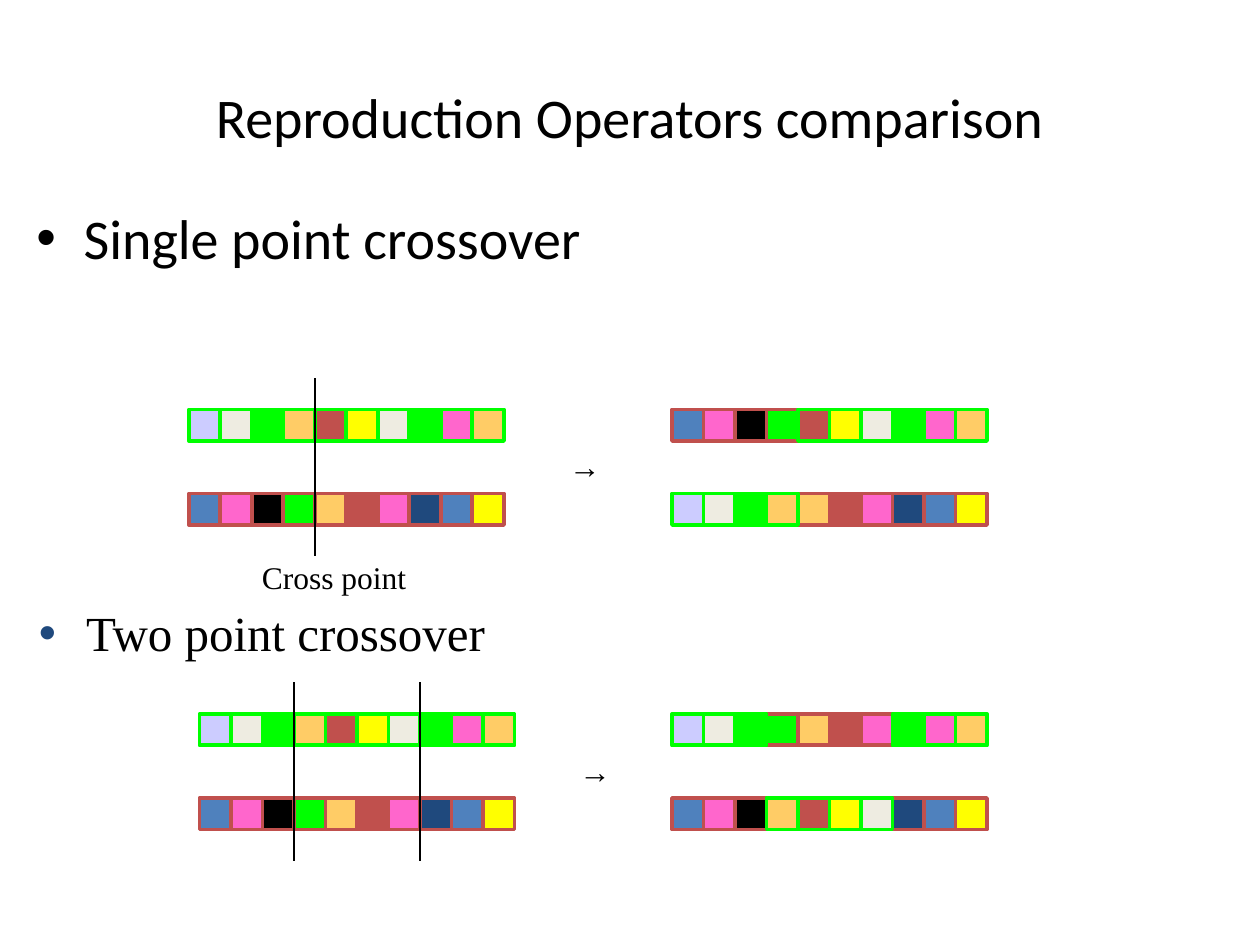
from typing import NamedTuple

from lxml.etree import SubElement
from pptx import Presentation
from pptx.dml.color import RGBColor as RGB
from pptx.enum.shapes import MSO_CONNECTOR as Conn, MSO_SHAPE as Kind
from pptx.enum.text import MSO_ANCHOR as Anchor, PP_ALIGN as Align
from pptx.oxml.ns import qn
from pptx.util import Pt

BLACK = RGB(0x00, 0x00, 0x00)
GREEN = RGB(0x00, 0xFF, 0x00)
RED = RGB(0xC0, 0x50, 0x4D)
BLUE = RGB(0x4F, 0x81, 0xBD)
NAVY = RGB(0x1F, 0x49, 0x7D)
PINK = RGB(0xFF, 0x66, 0xCC)
GOLD = RGB(0xFF, 0xCC, 0x66)
YELLOW = RGB(0xFF, 0xFF, 0x00)
LILAC = RGB(0xCC, 0xCC, 0xFF)
CREAM = RGB(0xEE, 0xEC, 0xE1)

SANS, SERIF = "Calibri", "Times New Roman"
CELL = 18
ROW_GAP = 48
CHILD_X = 384


class Gene(NamedTuple):
    fill: RGB
    edge: RGB


class Cross(NamedTuple):
    left: float
    top: float
    cuts: tuple[int, ...]


class Label(NamedTuple):
    text: str
    left: float
    top: float
    width: float
    height: float
    size: float
    font: str
    bullet: RGB | None = None
    spacing: float = 1.0
    inset: float = 3.6
    align: Align = Align.LEFT
    anchor: Anchor = Anchor.TOP


MOM = [Gene(fill, GREEN) for fill in
       (LILAC, CREAM, GREEN, GOLD, RED, YELLOW, CREAM, GREEN, PINK, GOLD)]
DAD = [Gene(fill, RED) for fill in
       (BLUE, PINK, BLACK, GREEN, GOLD, RED, PINK, NAVY, BLUE, YELLOW)]

CROSSES = [Cross(108, 234, (4,)), Cross(114, 408, (3, 7))]

LABELS = [
    Label("Reproduction Operators comparison", 36, 21.6, 648, 90, 32, SANS,
          align=Align.CENTER, anchor=Anchor.MIDDLE),
    Label("Single point crossover", 13.7, 110.2, 687.6, 62, 32, SANS,
          bullet=BLACK, inset=6),
    Label("Cross point", 142.6, 315.4, 124.6, 36, 18, SERIF),
    Label("→", 318.2, 252, 38.2, 36, 18, SERIF),
    Label("→", 324, 426.2, 38.2, 36, 18, SERIF),
    Label("Two point crossover", 15.1, 342, 612, 48, 28, SERIF,
          bullet=NAVY, spacing=0.9, inset=6),
]


def add_bullet(para, color: RGB) -> None:
    props = para._p.get_or_add_pPr()
    props.set("marL", str(Pt(27)))
    props.set("indent", str(-Pt(27)))
    tint = SubElement(props, qn("a:buClr"))
    SubElement(tint, qn("a:srgbClr"), val=str(color))
    SubElement(props, qn("a:buFont"), typeface="Arial")
    SubElement(props, qn("a:buChar"), char="•")


def add_label(slide, item: Label) -> None:
    box = slide.shapes.add_textbox(
        Pt(item.left), Pt(item.top), Pt(item.width), Pt(item.height))
    frame = box.text_frame
    frame.word_wrap = True
    frame.vertical_anchor = item.anchor
    frame.margin_top = Pt(item.inset)
    para = frame.paragraphs[0]
    para.alignment = item.align
    para.line_spacing = item.spacing
    if item.bullet is not None:
        add_bullet(para, item.bullet)
    run = para.add_run()
    run.text = item.text
    run.font.name = item.font
    run.font.size = Pt(item.size)
    run.font.color.rgb = BLACK


def add_strip(slide, genes: list[Gene], left: float, top: float) -> None:
    """Draw a row of genes, with green edges above red ones."""
    order = sorted(enumerate(genes), key=lambda pair: pair[1].edge == GREEN)
    for col, gene in order:
        cell = slide.shapes.add_shape(
            Kind.RECTANGLE, Pt(left + col * CELL), Pt(top), Pt(CELL), Pt(CELL))
        cell.shadow.inherit = False
        cell.fill.solid()
        cell.fill.fore_color.rgb = gene.fill
        cell.line.color.rgb = gene.edge
        cell.line.width = Pt(2.25)


def add_cut(slide, x: float, top: float) -> None:
    line = slide.shapes.add_connector(
        Conn.STRAIGHT, Pt(x), Pt(top), Pt(x), Pt(top + 102))
    line.line.color.rgb = BLACK
    line.line.width = Pt(1)
    SubElement(line._element.spPr, qn("a:effectLst"))


def swap(one: list[Gene], two: list[Gene],
         cuts: tuple[int, ...]) -> tuple[list[Gene], list[Gene]]:
    """Trade the genes from the first cut to the second, or to the end."""
    start, end = (*cuts, len(one))[:2]
    return (one[:start] + two[start:end] + one[end:],
            two[:start] + one[start:end] + two[end:])


def add_cross(slide, item: Cross) -> None:
    kids = swap(MOM, DAD, item.cuts)
    if len(item.cuts) == 1:
        kids = kids[::-1]
    for left, pair in ((item.left, (MOM, DAD)), (CHILD_X, kids)):
        for row, genes in enumerate(pair):
            add_strip(slide, genes, left, item.top + row * ROW_GAP)
    for cut in item.cuts:
        add_cut(slide, item.left + cut * CELL, item.top - CELL)


def main() -> None:
    deck = Presentation()
    deck.slide_width, deck.slide_height = Pt(720), Pt(540)
    slide = deck.slides.add_slide(deck.slide_layouts[6])
    for item in CROSSES:
        add_cross(slide, item)
    for item in LABELS:
        add_label(slide, item)
    deck.save("out.pptx")


if __name__ == "__main__":
    main()
